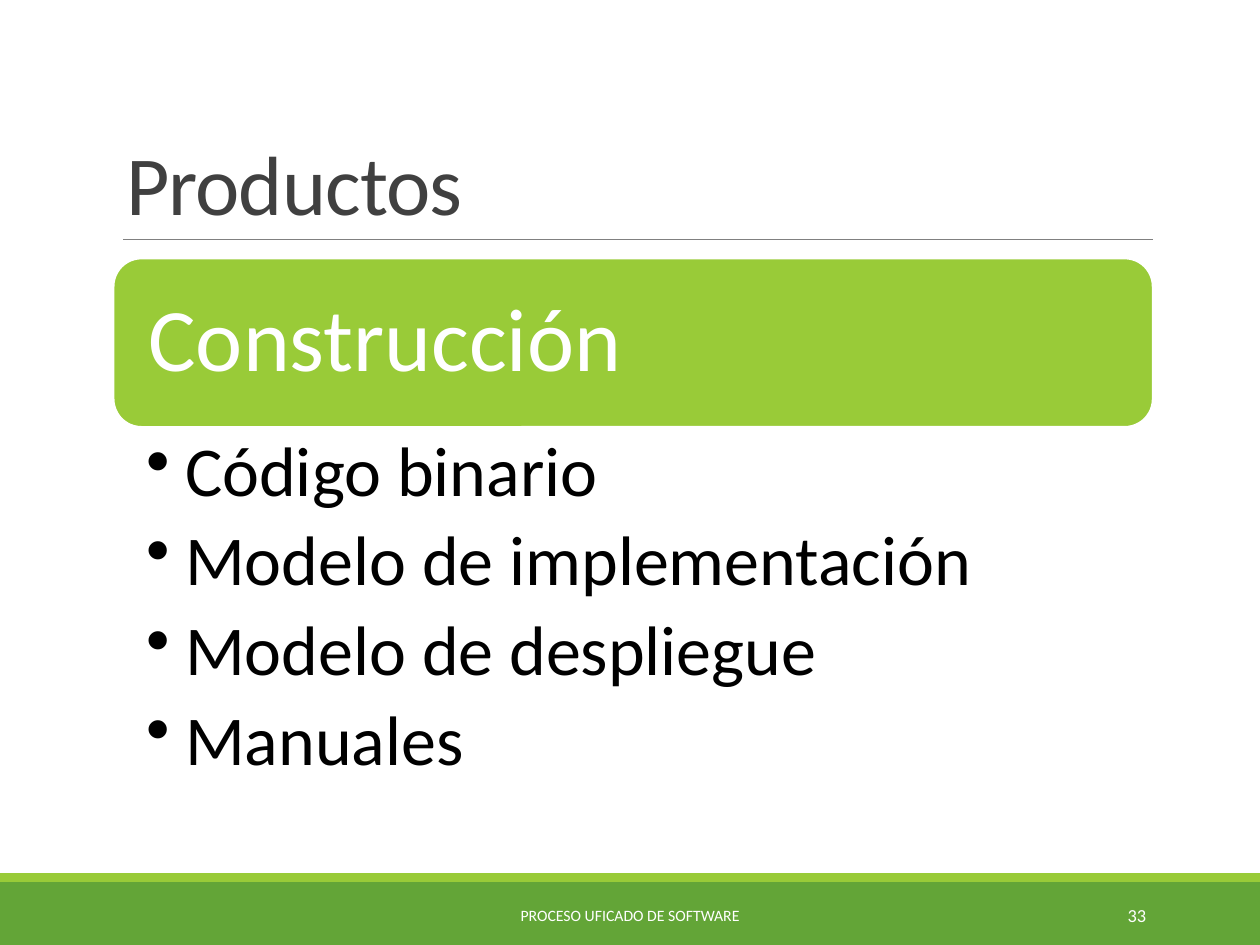
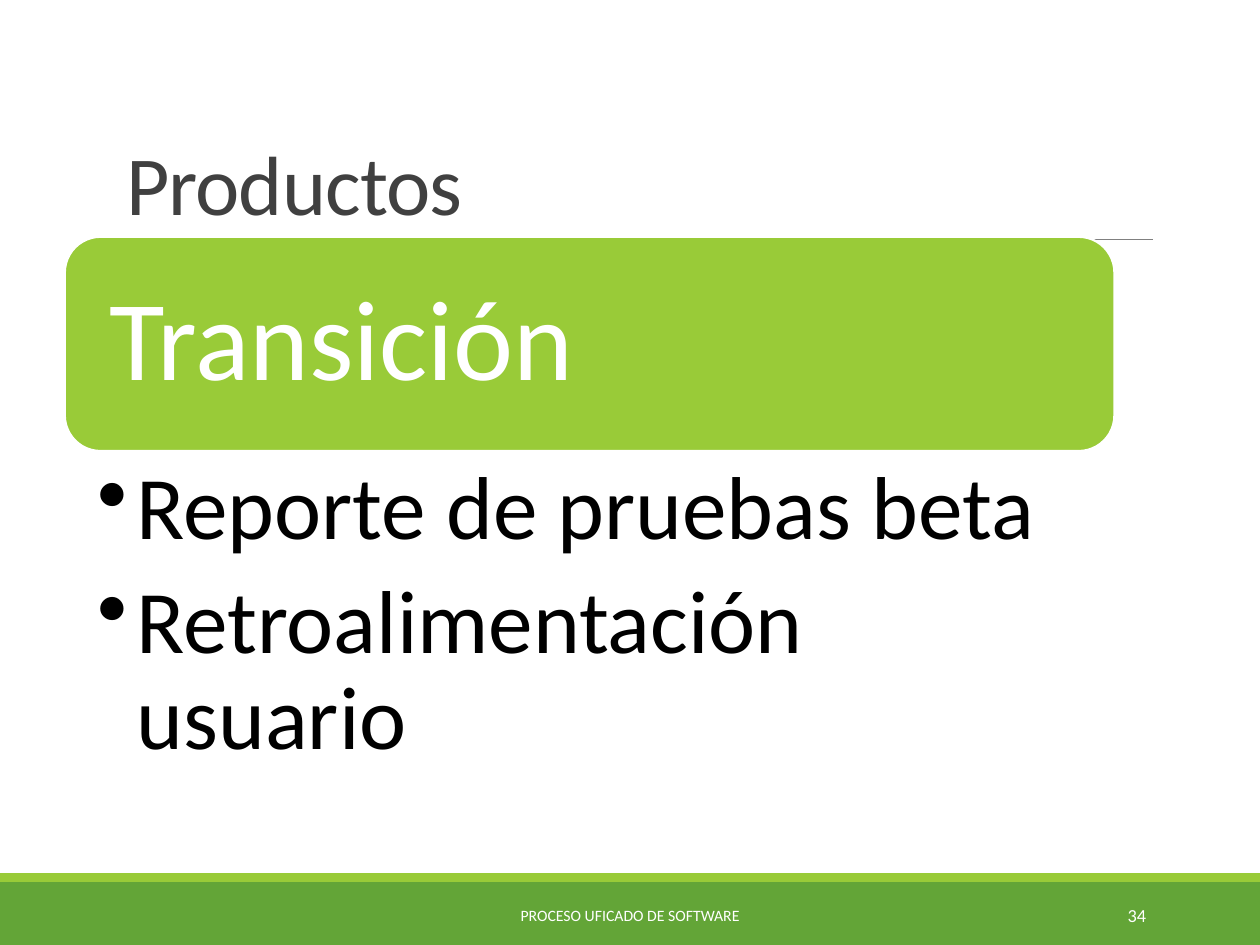
from dataclasses import dataclass

from lxml.etree import SubElement
from pptx import Presentation
from pptx.dml.color import RGBColor
from pptx.enum.shapes import MSO_CONNECTOR, MSO_SHAPE
from pptx.enum.text import MSO_ANCHOR, MSO_AUTO_SIZE, PP_ALIGN
from pptx.oxml.ns import qn
from pptx.util import Inches, Pt

COLUMNS, ROWS = 100, 75
CELL = Inches(0.1)
FONT = "Calibri"
COLORS = {
    "band": "63A537",
    "accent": "99CB38",
    "rule": "808080",
    "title": "404040",
    "body": "000000",
    "white": "FFFFFF",
}
FOOTER = "PROCESO UFICADO DE SOFTWARE"
TITLE = "Productos"


@dataclass
class Box:
    """An area in grid columns and rows."""
    left: float
    top: float
    width: float
    height: float

    def emu(self):
        return [round(n * CELL) for n in (self.left, self.top, self.width, self.height)]

    def split(self, rows):
        """Cut the area into an upper part of the given rows and the rest."""
        upper = Box(self.left, self.top, self.width, rows)
        lower = Box(self.left, self.top + rows, self.width, self.height - rows)
        return upper, lower


TITLE_BOX = Box(9, 3.1, 82.5, 15.9)
BAND_BOX = Box(0, 69.3, COLUMNS, 5.7)
PHASES = [
    dict(number=33, name="Construcción", box=Box(9, 20.5, 82.5, 43.4),
         header_rows=13.4, header_size=51, item_size=40,
         items=["Código binario", "Modelo de implementación",
                "Modelo de despliegue", "Manuales"]),
    dict(number=34, name="Transición", box=Box(5.15, 18.8, 83.3, 44.2),
         header_rows=17, header_size=65, item_size=51,
         items=["Reporte de pruebas beta", "Retroalimentación usuario"]),
]


def color(name):
    return RGBColor.from_string(COLORS[name])


def add_span(para, text, size, color_name):
    span = para.add_run()
    span.text = text
    span.font.name = FONT
    span.font.size = Pt(size)
    span.font.color.rgb = color(color_name)
    return span


def set_frame(shape, anchor, insets=None):
    """Wrap the text, anchor it and set left, top, right and bottom insets in points."""
    frame = shape.text_frame
    frame.word_wrap = True
    frame.auto_size = MSO_AUTO_SIZE.NONE
    frame.vertical_anchor = anchor
    if insets:
        (frame.margin_left, frame.margin_top,
         frame.margin_right, frame.margin_bottom) = map(Pt, insets)
    return frame


def add_filled(page, kind, box, fill):
    shape = page.shapes.add_shape(kind, *box.emu())
    shape.shadow.inherit = False
    shape.fill.solid()
    shape.fill.fore_color.rgb = color(fill)
    shape.line.fill.background()
    return shape


def add_label(page, box, text, size, align):
    label = page.shapes.add_textbox(*box.emu())
    para = set_frame(label, MSO_ANCHOR.MIDDLE).paragraphs[0]
    para.alignment = align
    add_span(para, text, size, "white")


def add_footer(page, box, number):
    stripe, band = box.split(0.7)
    add_filled(page, MSO_SHAPE.RECTANGLE, band, "band")
    add_filled(page, MSO_SHAPE.RECTANGLE, stripe, "accent")
    top = band.top + 0.65
    add_label(page, Box(30.2, top, 39.6, 4), FOOTER, 9, PP_ALIGN.CENTER)
    add_label(page, Box(81.15, top, 10.8, 4), str(number), 10.5, PP_ALIGN.RIGHT)


def add_title(page, box):
    title = page.shapes.title
    title.left, title.top, title.width, title.height = box.emu()
    para = set_frame(title, MSO_ANCHOR.BOTTOM).paragraphs[0]
    para.alignment = PP_ALIGN.LEFT
    para.line_spacing = 0.85
    span = add_span(para, TITLE, 48, "title")
    span.font._element.set("spc", "-50")

    left, top, width, height = box.emu()
    bottom = top + height
    rule = page.shapes.add_connector(
        MSO_CONNECTOR.STRAIGHT, left + round(0.8 * CELL), bottom, left + width, bottom)
    rule.line.color.rgb = color("rule")
    rule.line.width = Pt(0.5)
    SubElement(rule._element.spPr, qn("a:effectLst"))


def add_phase_header(page, box, name, size):
    header = add_filled(page, MSO_SHAPE.ROUNDED_RECTANGLE, box, "accent")
    header.line.color.rgb = color("white")
    header.line.width = Pt(1.25)
    para = set_frame(header, MSO_ANCHOR.MIDDLE, [size * 0.3] * 4).paragraphs[0]
    para.alignment = PP_ALIGN.LEFT
    para.line_spacing = 0.9
    add_span(para, name, size, "white")


def add_bullet(para):
    properties = para._p.get_or_add_pPr()
    indent = Inches(0.31)
    properties.set("marL", str(indent))
    properties.set("indent", str(-indent))
    SubElement(properties, qn("a:buChar")).set("char", "•")


def add_products(page, box, items, size):
    products = page.shapes.add_textbox(*box.emu())
    pad = size / 8
    frame = set_frame(products, MSO_ANCHOR.TOP, (18.7, pad, size * 0.71, pad))
    for index, item in enumerate(items):
        para = frame.add_paragraph() if index else frame.paragraphs[0]
        add_bullet(para)
        para.line_spacing = 0.9
        para.space_after = Pt(size * 0.2)
        add_span(para, item, size, "body")


def add_phase_page(deck, phase):
    page = deck.slides.add_slide(deck.slide_layouts.get_by_name("Title Only"))
    add_title(page, TITLE_BOX)
    header_box, products_box = phase["box"].split(phase["header_rows"])
    add_phase_header(page, header_box, phase["name"], phase["header_size"])
    add_products(page, products_box, phase["items"], phase["item_size"])
    add_footer(page, BAND_BOX, phase["number"])


def main():
    deck = Presentation()
    deck.slide_width, deck.slide_height = COLUMNS * CELL, ROWS * CELL
    for phase in PHASES:
        add_phase_page(deck, phase)
    deck.save("out.pptx")


if __name__ == "__main__":
    main()
